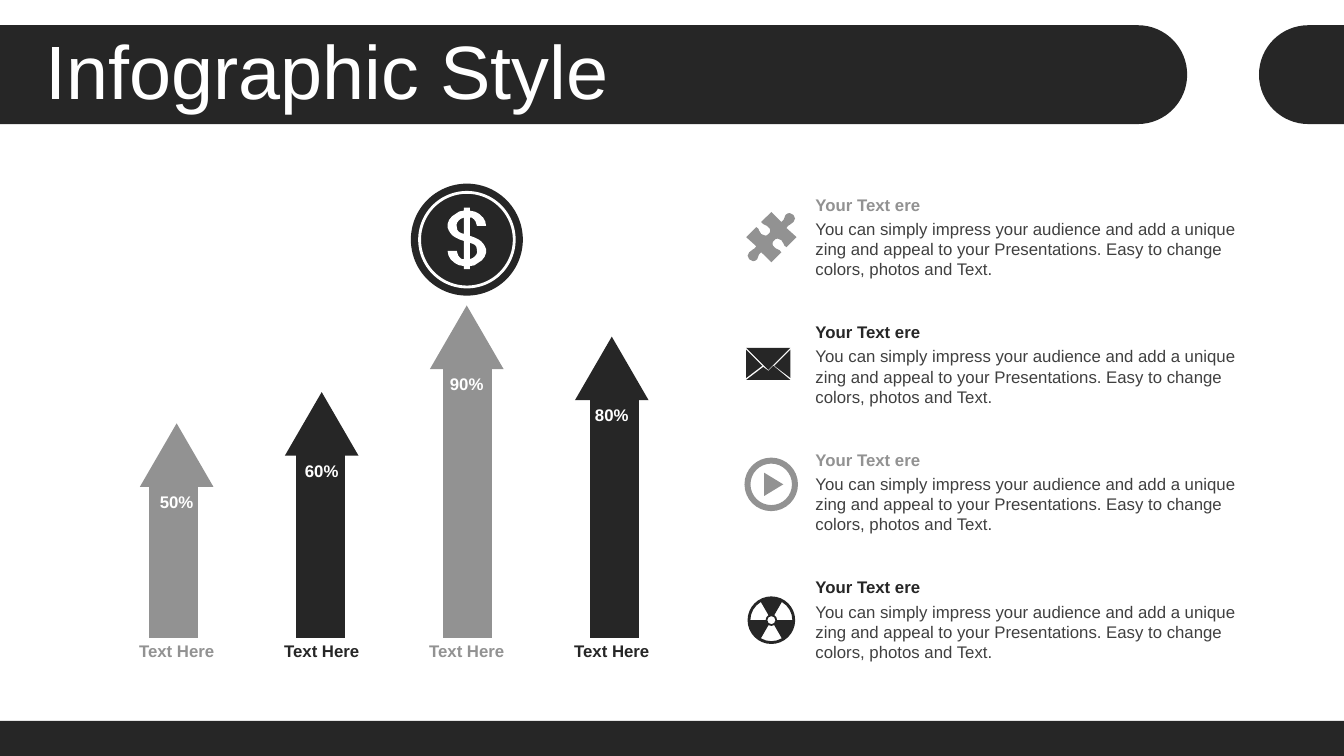
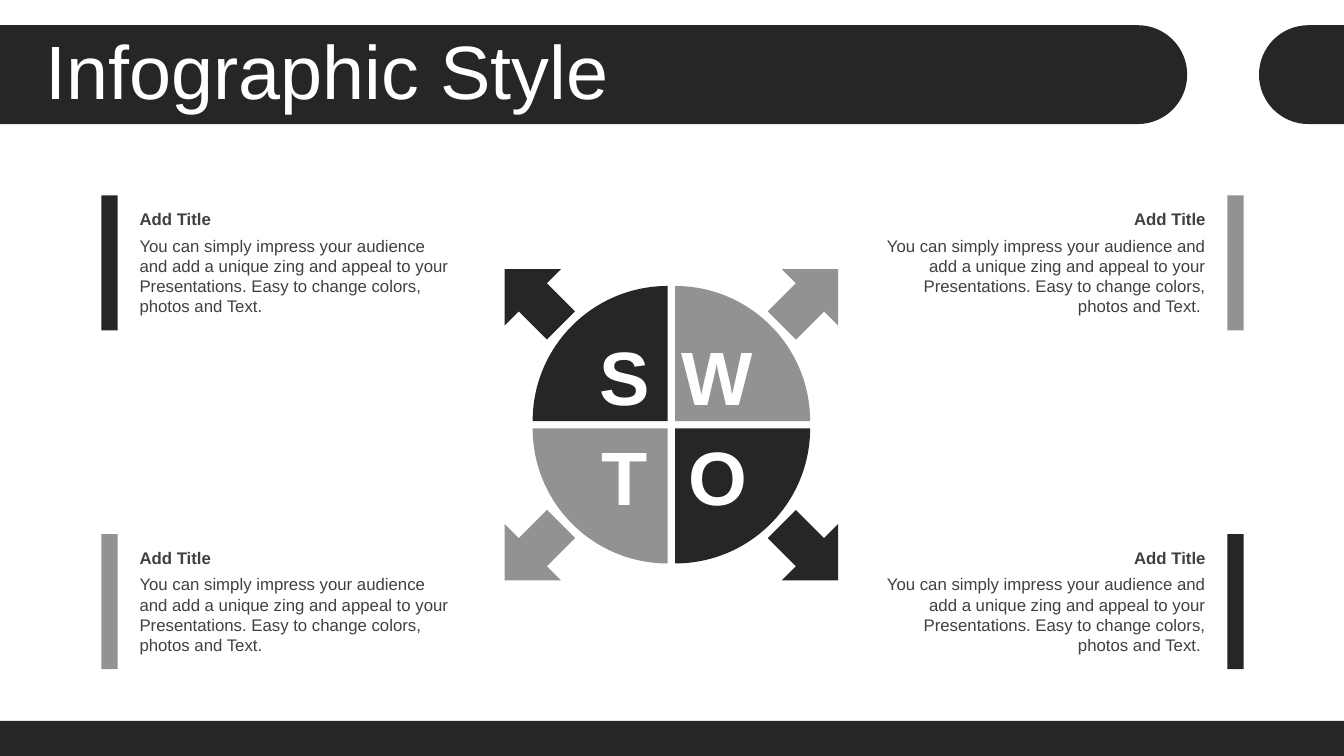
import math
import lxml.etree
import pptx
import pptx.util
import pptx.dml.color
import pptx.chart.data
import pptx.enum.chart
import pptx.enum.shapes
import pptx.enum.text
import pptx.oxml.ns

Pt = pptx.util.Pt
Align = pptx.enum.text.PP_ALIGN
Anchor = pptx.enum.text.MSO_ANCHOR
Kind = pptx.enum.shapes.MSO_SHAPE
qn = pptx.oxml.ns.qn

DARK, GREY, WHITE, BODY = "262626", "929292", "FFFFFF", "404040"
FONT = "Arial"
TITLE = "Infographic Style"
BLURB = ("You can simply impress your audience and add a unique zing and appeal "
         "to your Presentations. Easy to change colors, photos and Text.")

BARS = [
    ("50%", 56, 302.4, GREY),
    ("60%", 67, 280.1, DARK),
    ("90%", 100, 218.2, GREY),
    ("80%", 89, 240.5, DARK),
]
BAR_NAME = "Text Here"
ITEM_HEAD = "Your Text ere"
PANEL_HEAD = "Add Title"
SWOT = [
    ("S", -1, -1, DARK, 135),
    ("W", 1, -1, GREY, 225),
    ("O", 1, 1, DARK, 315),
    ("T", -1, 1, GREY, 45),
]

PUZZLE = [
    (15.8, -15.8),
    (17.3, -14.4, 17.3, -12.2, 15.8, -10.8), (14.4, -8.6, 12.2, -9.4, 10.8, -6.5),
    (18, 0), (10.8, 7.2),
    (7.9, 5.8, 9.4, 3.6, 7.2, 2.2), (5.8, 0.7, 2.9, 0.7, 2.2, 2.2),
    (0.7, 2.9, 0, 5.8, 2.2, 7.2), (4.3, 9.4, 5, 7.9, 7.2, 10.8),
    (0, 18), (-7.2, 10.8),
    (-10.1, 13, -8.6, 13.7, -10.1, 15.8), (-12.2, 18, -14.4, 17.3, -15.8, 15.8),
]
DOLLAR = [
    (2.2, 22), (-2.2, 22), (-2.2, 19.8),
    (-3.6, 19.8, -4.3, 19.8, -5.8, 19.1), (-10.8, 16.9, -13.7, 13.3, -13.7, 9),
    (-7.2, 9),
    (-7.2, 11.2, -5.8, 13.3, -3.6, 14.8), (-2.9, 14.8, -2.2, 14.8, -2.2, 14.8),
    (-2.2, 1.8),
    (-6.5, 0.4, -11.5, -1.1, -13.7, -7.6), (-14.4, -11.2, -12.2, -15.5, -7.9, -17.6),
    (-6.5, -19.1, -4.3, -19.8, -2.2, -19.8), (-2.2, -22),
]
DOLLAR_HOLE = [
    (-2.2, -3.2), (-2.2, -14.8),
    (-2.9, -14.8, -3.6, -14, -4.3, -14), (-6.5, -12.6, -7.9, -10.4, -7.2, -8.3),
    (-7.2, -4.7, -5, -4, -2.2, -3.2),
]
MAIL = [
    [(3.6, 1.4), (15.8, 11.5), (-15.8, 11.5), (-3.6, 2.2), (0, 5)],
    [(15.8, -10.1), (15.8, 10.1), (4.3, 1.4)],
    [(-15.8, -10.1), (-15.8, 10.1), (-4.3, 1.4)],
    [(-15.8, -11.5), (15.8, -11.5), (0, 4.3)],
]


def hue(code):
    return pptx.dml.color.RGBColor.from_string(code)


def arc(x, y, r, start, end):
    count = math.ceil(abs(end - start) / 90)
    sweep = math.radians(end - start) / count
    pull = 4 / 3 * math.tan(sweep / 4)
    a = math.radians(start)
    ring = [(x + r * math.cos(a), y + r * math.sin(a))]
    for n in range(count):
        b = a + sweep
        ring.append((
            x + r * (math.cos(a) - pull * math.sin(a)),
            y + r * (math.sin(a) + pull * math.cos(a)),
            x + r * (math.cos(b) + pull * math.sin(b)),
            y + r * (math.sin(b) - pull * math.cos(b)),
            x + r * math.cos(b), y + r * math.sin(b)))
        a = b
    return ring


def flip(ring):
    return [tuple(-v for v in step) for step in ring]


def twin(half):
    return half + flip(half)[1:]


def paint(shape, fill, edge=None):
    shape.shadow.inherit = False
    shape.fill.solid()
    shape.fill.fore_color.rgb = hue(fill)
    if edge:
        shape.line.color.rgb = hue(edge)
        shape.line.width = Pt(2)
    else:
        shape.line.fill.background()
    return shape


def block(slide, kind, x, y, w, h, fill, edge=None, turn=0):
    shape = slide.shapes.add_shape(kind, Pt(x), Pt(y), Pt(w), Pt(h))
    shape.rotation = turn
    return paint(shape, fill, edge)


def bend(shape, rings):
    lines = iter(list(shape.element.iter(qn("a:lnTo"))))
    for ring in rings:
        for step in ring[1:]:
            line = next(lines)
            if len(step) == 2:
                continue
            curve = lxml.etree.Element(qn("a:cubicBezTo"))
            line.addprevious(curve)
            for part in (line, next(lines), next(lines)):
                curve.append(part[0])
                part.getparent().remove(part)


def outline(slide, rings, fill, x=0, y=0):
    pen = None
    for ring in rings:
        dots = [(Pt(x + step[k]), Pt(y + step[k + 1]))
                for step in ring for k in range(0, len(step), 2)]
        if pen is None:
            pen = slide.shapes.build_freeform(*dots[0])
        else:
            pen.move_to(*dots[0])
        pen.add_line_segments(dots[1:], close=True)
    shape = pen.convert_to_shape()
    bend(shape, rings)
    return paint(shape, fill)


def say(frame, text, size=12, ink=BODY, bold=False, align=Align.LEFT,
        anchor=Anchor.TOP, inset=None, lead=None):
    frame.word_wrap = True
    frame.auto_size = pptx.enum.text.MSO_AUTO_SIZE.NONE
    frame.vertical_anchor = anchor
    if inset is not None:
        frame.margin_left = frame.margin_right = Pt(inset)
        frame.margin_top = frame.margin_bottom = Pt(inset)
    line = frame.paragraphs[0]
    line.text = text
    line.alignment = align
    line.line_spacing = lead
    font = line.runs[0].font
    font.name, font.size, font.bold = FONT, Pt(size), bold
    font.color.rgb = hue(ink)


def label(slide, x, y, w, h, text, **style):
    box = slide.shapes.add_textbox(Pt(x), Pt(y), Pt(w), Pt(h))
    say(box.text_frame, text, **style)


def set_layout(layout, slide):
    for holder in list(layout.placeholders):
        if holder.placeholder_format.idx:
            holder.element.getparent().remove(holder.element)
        else:
            holder.left, holder.top = Pt(25.2), Pt(25)
            holder.width, holder.height = Pt(911.5), Pt(56.9)
    top, low, r = 18, 88.6, 35.3
    mid = (top + low) / 2
    bands = [
        outline(slide, [[(0, top)] + arc(812.7, mid, r, -90, 90) + [(0, low)]], DARK),
        outline(slide, [[(960, low)] + arc(934.6, mid, r, 90, 270) + [(960, top)]], DARK),
        block(slide, Kind.RECTANGLE, 0, 515, 960, 25, DARK),
    ]
    for band in bands:
        layout.shapes.element.insert(2, band.element)


def add_bars(slide):
    data = pptx.chart.data.CategoryChartData()
    data.categories = [str(n + 1) for n in range(len(BARS))]
    data.add_series("Series 1", [bar[1] for bar in BARS])
    chart = slide.shapes.add_chart(
        pptx.enum.chart.XL_CHART_TYPE.COLUMN_STACKED,
        Pt(63.1), Pt(232), Pt(437), Pt(228.6), data).chart
    chart.has_legend = chart.has_title = False
    chart.font.name, chart.font.size = FONT, Pt(18)
    chart.font.color.rgb = hue("000000")
    for axis in (chart.category_axis, chart.value_axis):
        axis.visible = False
        axis.has_major_gridlines = False
    chart.value_axis.minimum_scale, chart.value_axis.maximum_scale = 0, 110
    plot = chart.plots[0]
    plot.gap_width, plot.overlap, plot.vary_by_categories = 200, 100, False
    for n, (share, _, top, ink) in enumerate(BARS):
        fill = plot.series[0].points[n].format.fill
        fill.solid()
        fill.fore_color.rgb = hue(ink)
        mid = 126.2 + 103.6 * n
        block(slide, Kind.ISOSCELES_TRIANGLE, mid - 26.3, top, 52.6, 45.4, ink)
        label(slide, mid - 26, top + 45.4, 52, 21.6, share,
              ink=WHITE, bold=True, align=Align.CENTER)
        label(slide, mid - 37, 454.3, 74, 21.6, BAR_NAME,
              ink=ink, bold=True, align=Align.CENTER)


def add_coin(slide):
    x, y = 333.5, 171.2
    for r, edge in ((40, None), (33.8, WHITE)):
        block(slide, Kind.OVAL, x - r, y - r, 2 * r, 2 * r, DARK, edge)
    outline(slide, [twin(DOLLAR), DOLLAR_HOLE, flip(DOLLAR_HOLE)], WHITE, x, y - 0.9)


def add_items(slide):
    play = [arc(0, 0, 19.1, 0, 360), arc(0, 0, 14.8, 0, 360),
            [(-5, -8.3), (8.6, 0), (-5, 8.3)]]
    hazard = [arc(0, 0, 17, 0, 360), arc(0, 0, 2.9, 0, 360)]
    for a in (60, 180, 300):
        hazard.append(arc(0, 0, 15, a, a + 60) + arc(0, 0, 4.1, a + 60, a))
    items = [
        ([twin(PUZZLE)], 551, 169.4, GREY),
        (MAIL, 548.8, 259.9, DARK),
        (play, 550.9, 346, GREY),
        (hazard, 551, 443, DARK),
    ]
    for n, (icon, x, y, ink) in enumerate(items):
        top = 135.4 + 91.1 * n
        label(slide, 575.4, top, 314.6, 21.6, ITEM_HEAD, ink=ink, bold=True)
        label(slide, 575.4, top + 17.2, 314.6, 51, BLURB)
        outline(slide, icon, ink, x, y)


def add_swot(slide):
    x, y, gap, r = 479.6, 303.4, 2.6, 96.5
    wide, high, size = 60.5, 65.5, 56.9
    for mark, right, down, ink, turn in SWOT:
        cx, cy = x + right * gap, y + down * gap
        start = turn + 45
        outline(slide, [[(cx, cy)] + arc(cx, cy, r, start, start + 90)], ink)
        block(slide, Kind.DOWN_ARROW, x + 99 * right - size / 2,
              y + 91 * down - size / 2, size, size, ink, turn=turn)
        label(slide, x - 0.2 + 3 * right - (wide if right < 0 else 0),
              y + 0.3 + 3 * down - (high if down < 0 else 0),
              wide, high, mark, size=54, ink=WHITE, bold=True,
              align=Align.CENTER, anchor=Anchor.MIDDLE, inset=0)
        top = 139.5 if down < 0 else 381.6
        if right < 0:
            edge, left, span, side, text = 72.5, 92.6, 238, Align.LEFT, BLURB
        else:
            edge, left, span, side, text = 876.8, 626.4, 241.9, Align.RIGHT, BLURB + " "
        block(slide, Kind.RECTANGLE, edge, top, 11.5, 96.5, ink)
        label(slide, left, top + 6.2, span, 21.6, PANEL_HEAD, bold=True, align=side)
        label(slide, left, top + 25, span, 65.5, text, align=side)


def main():
    deck = pptx.Presentation()
    deck.slide_width, deck.slide_height = Pt(960), Pt(540)
    layout = deck.slide_layouts[5]
    growth, swot = [deck.slides.add_slide(layout) for _ in range(2)]
    set_layout(layout, growth)
    for slide in (growth, swot):
        say(slide.shapes.title.text_frame, TITLE, size=54, ink=WHITE,
            anchor=Anchor.MIDDLE, lead=0.9)
    add_bars(growth)
    add_coin(growth)
    add_items(growth)
    add_swot(swot)
    deck.save("out.pptx")


if __name__ == "__main__":
    main()
